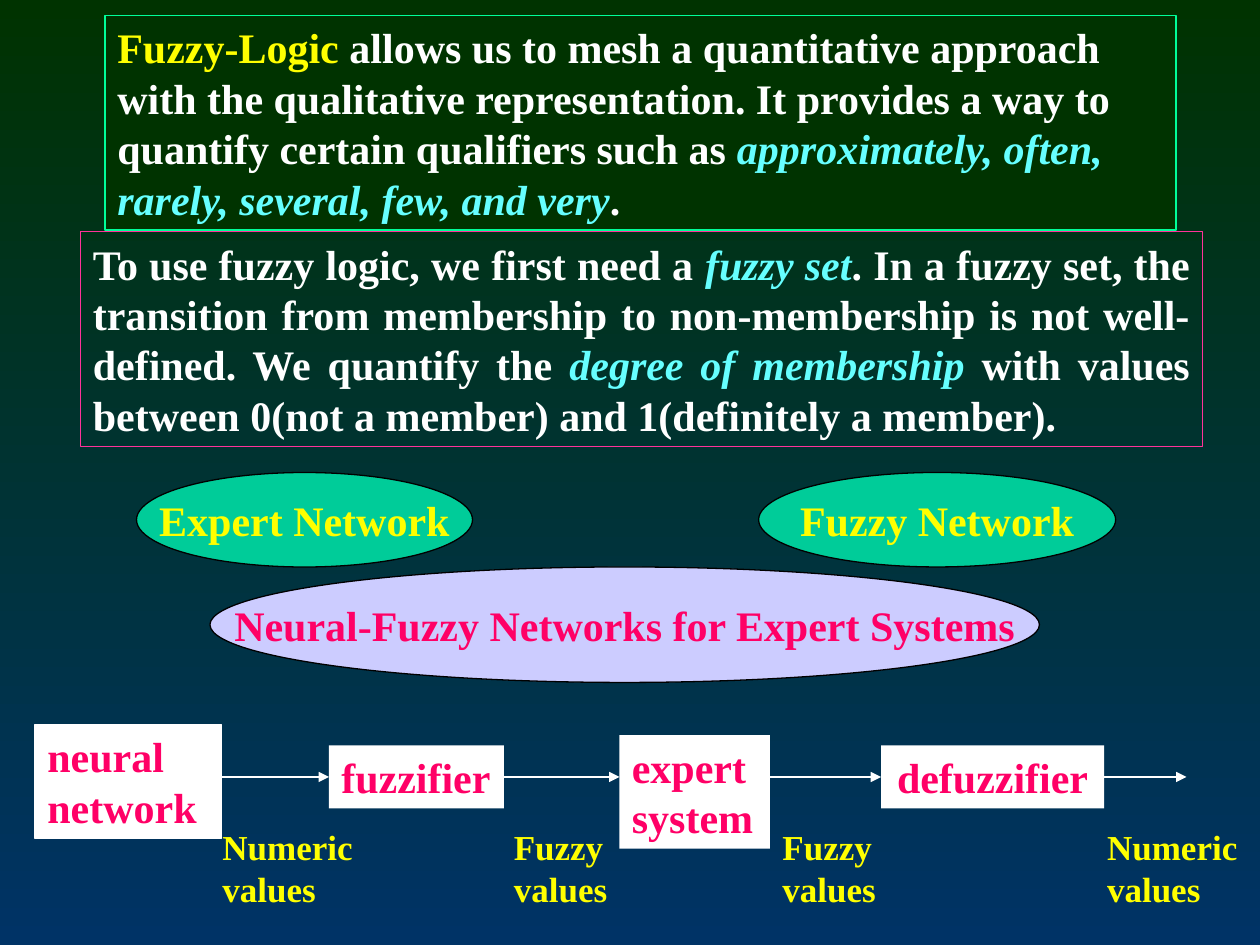
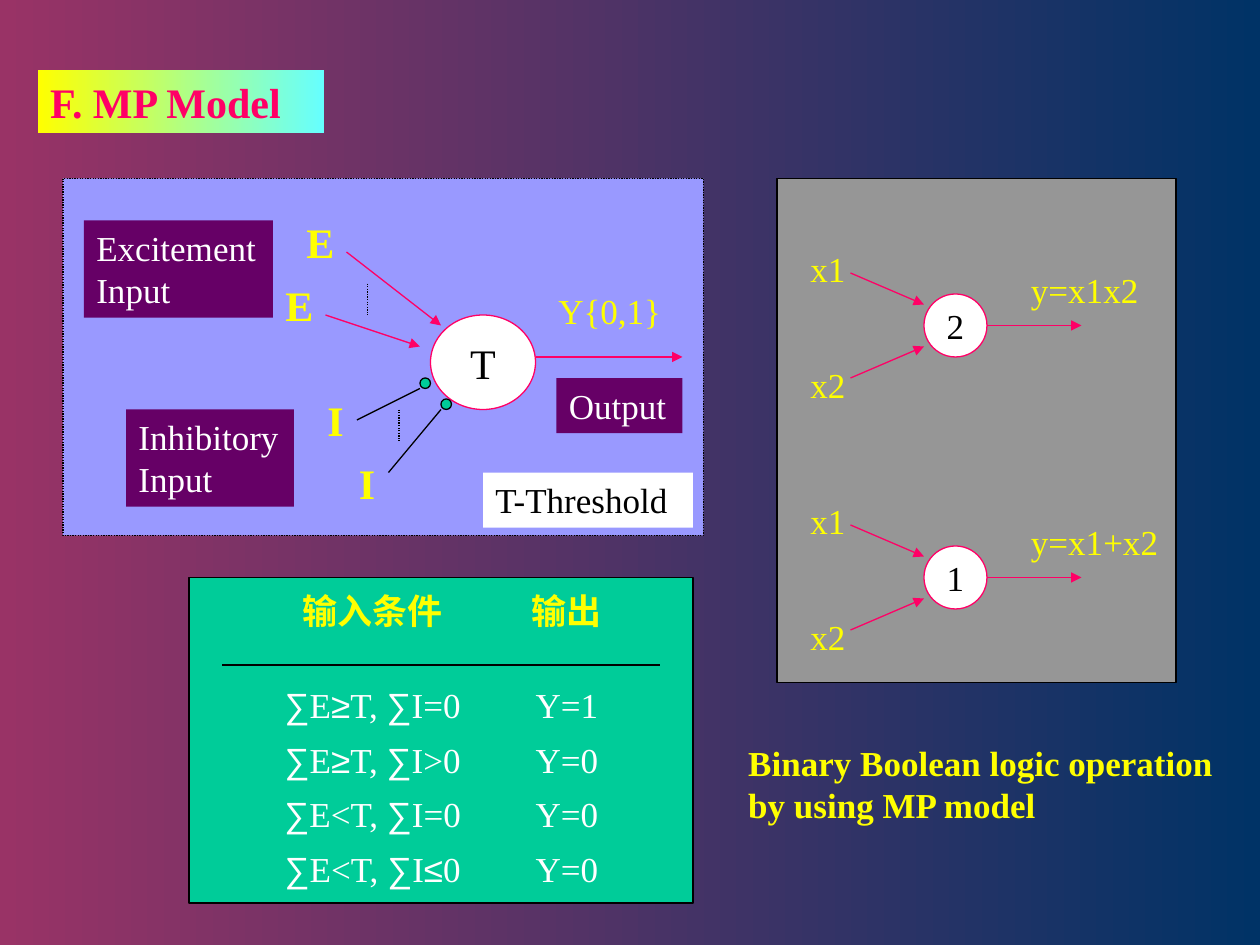
import itertools
from dataclasses import dataclass
from typing import NamedTuple, Optional

import lxml.etree
import pptx
import pptx.dml.color
import pptx.enum.dml
import pptx.enum.shapes
import pptx.enum.text
import pptx.oxml.ns
import pptx.util

Pt = pptx.util.Pt
Align = pptx.enum.text.PP_ALIGN
Anchor = pptx.enum.text.MSO_ANCHOR
RECTANGLE = pptx.enum.shapes.MSO_SHAPE.RECTANGLE
OVAL = pptx.enum.shapes.MSO_SHAPE.OVAL
DOTTED = pptx.enum.dml.MSO_LINE.ROUND_DOT
LEFT_SIDE, RIGHT_SIDE = 1, 3


@dataclass(frozen=True)
class Theme:
    font: str = "Times New Roman"
    symbol_font: str = "Arial"
    large: float = 24
    small: float = 20
    line: float = 0.75
    white: str = "FFFFFF"
    black: str = "000000"
    yellow: str = "FFFF00"
    cyan: str = "66FFFF"
    crimson: str = "FF0066"
    pink: str = "FF3399"
    mint: str = "00FF99"
    green: str = "00CC99"
    lavender: str = "CCCCFF"
    periwinkle: str = "9999FF"
    purple: str = "660066"
    gray: str = "969696"
    forest: str = "003300"
    navy: str = "003366"
    plum: str = "993366"


THEME = Theme()


class Box(NamedTuple):
    left: float
    top: float
    width: float
    height: float


class Run(NamedTuple):
    text: str
    color: str
    bold: bool = False
    italic: bool = False
    font: str = THEME.font


@dataclass(frozen=True)
class Block:
    """A rectangle, an oval or, without a kind, a plain text box."""
    box: Box
    runs: tuple[Run, ...] = ()
    kind: Optional[int] = None
    fill: Optional[str] = None
    line: Optional[str] = None
    dash: Optional[int] = None
    size: float = THEME.small
    align: int = Align.LEFT


class Arrow(NamedTuple):
    start: tuple[float, float]
    end: tuple[float, float]
    color: str = THEME.crimson
    head: bool = True
    dash: Optional[int] = None


# ---- Shared drawing functions ----

def rgb(color: str) -> pptx.dml.color.RGBColor:
    return pptx.dml.color.RGBColor.from_string(color)


def set_gradient(fill, first: str, last: str, angle: float) -> None:
    fill.gradient()
    fill.gradient_angle = angle
    for stop, color in zip(fill.gradient_stops, (first, last)):
        stop.color.rgb = rgb(color)


def add_runs(paragraph, runs: tuple[Run, ...], size: float, align: int) -> None:
    paragraph.alignment = align
    for item in runs:
        run = paragraph.add_run()
        run.text = item.text
        run.font.name = item.font
        run.font.size = Pt(size)
        run.font.bold = item.bold
        run.font.italic = item.italic
        run.font.color.rgb = rgb(item.color)


def set_frame(frame, anchor: int, wrap: bool) -> None:
    frame.auto_size = pptx.enum.text.MSO_AUTO_SIZE.NONE
    frame.word_wrap = wrap
    frame.vertical_anchor = anchor
    frame.margin_left = frame.margin_right = Pt(7.2)
    frame.margin_top = frame.margin_bottom = Pt(3.6)


def draw_block(slide, block: Block):
    area = [Pt(length) for length in block.box]
    if block.kind is None:
        shape = slide.shapes.add_textbox(*area)
    else:
        shape = slide.shapes.add_shape(block.kind, *area)
        shape.shadow.inherit = False
    if block.fill:
        shape.fill.solid()
        shape.fill.fore_color.rgb = rgb(block.fill)
    else:
        shape.fill.background()
    if block.line:
        shape.line.color.rgb = rgb(block.line)
        shape.line.width = Pt(THEME.line)
        if block.dash:
            shape.line.dash_style = block.dash
    else:
        shape.line.fill.background()
    if block.runs:
        is_oval = block.kind == OVAL
        set_frame(shape.text_frame, Anchor.MIDDLE if is_oval else Anchor.TOP, not is_oval)
        add_runs(shape.text_frame.paragraphs[0], block.runs, block.size, block.align)
    return shape


def draw_arrow(slide, arrow: Arrow):
    connector = slide.shapes.add_connector(
        pptx.enum.shapes.MSO_CONNECTOR.STRAIGHT,
        *(Pt(length) for length in arrow.start + arrow.end))
    connector.line.color.rgb = rgb(arrow.color)
    connector.line.width = Pt(THEME.line)
    if arrow.dash:
        connector.line.dash_style = arrow.dash
    if arrow.head:
        line = connector.line._get_or_add_ln()
        lxml.etree.SubElement(line, pptx.oxml.ns.qn("a:tailEnd"), type="triangle")
    properties = connector._element.spPr
    lxml.etree.SubElement(properties, pptx.oxml.ns.qn("a:effectLst"))
    return connector


def oval(box: Box, text: str, fill: str, line: str, color: str,
         size: float = THEME.large, bold: bool = False) -> Block:
    return Block(box, (Run(text, color, bold),), OVAL, fill, line, size=size, align=Align.CENTER)


def label(box: Box, text: str, color: str = THEME.yellow, bold: bool = False,
          fill: Optional[str] = None, size: float = THEME.small) -> Block:
    return Block(box, (Run(text, color, bold),), RECTANGLE if fill else None, fill, size=size)


# ---- Slide 1: fuzzy logic ----

def build_fuzzy_logic(presentation) -> None:
    slide = presentation.slides.add_slide(presentation.slide_layouts[6])
    set_gradient(slide.background.fill, THEME.forest, THEME.navy, 270)

    def plain(text: str) -> Run:
        return Run(text, THEME.white, True)

    def term(text: str) -> Run:
        return Run(text, THEME.cyan, True, True)

    # Definitions and network ovals
    definition = (
        Run("Fuzzy-Logic ", THEME.yellow, True),
        plain("allows us to mesh a quantitative approach with the qualitative representation. "
              "It provides a way to quantify certain qualifiers such as "),
        term("approximately, often, rarely, several, few, and very"), plain("."))
    fuzzy_set = (
        plain("To use fuzzy logic, we first need a "), term("fuzzy set"),
        plain(". In a fuzzy set, the transition from membership to non-membership is not "
              "well-defined. We quantify the "),
        term("degree of membership"),
        plain(" with values between 0(not a member) and 1(definitely a member)."))
    blocks = (
        Block(Box(60, 9, 612, 122.5), definition, RECTANGLE, THEME.forest, THEME.mint,
              size=THEME.large),
        Block(Box(46, 132.5, 641, 122.5), fuzzy_set, RECTANGLE, None, THEME.pink,
              size=THEME.large, align=Align.JUSTIFY),
        oval(Box(78, 270, 192, 54), "Expert Network",
             THEME.green, THEME.black, THEME.yellow, bold=True),
        oval(Box(433.5, 270, 204, 54), "Fuzzy Network",
             THEME.green, THEME.black, THEME.yellow, bold=True),
        oval(Box(120, 324, 474, 66), "Neural-Fuzzy Networks for Expert Systems",
             THEME.lavender, THEME.black, THEME.crimson, bold=True))
    for block in blocks:
        draw_block(slide, block)

    # Processing chain
    stages = (("neural network", Box(20, 414, 106.5, 65), Align.LEFT),
              ("fuzzifier", Box(188, 426, 100, 36), Align.LEFT),
              ("expert system", Box(354, 420, 86, 65), Align.LEFT),
              ("defuzzifier", Box(503.5, 426, 127.5, 36), Align.CENTER))
    shapes = [draw_block(slide, Block(box, (Run(text, THEME.crimson, True),), RECTANGLE,
                                      THEME.white, size=THEME.large, align=align))
              for text, box, align in stages]
    shapes[0].line.color.rgb = rgb(THEME.white)
    fuzzifier, defuzzifier = shapes[1], shapes[3]
    spans = ((126, 188), (288, 354), (440, 503.5), (631, 678))
    into_fuzzifier, from_fuzzifier, into_defuzzifier, from_defuzzifier = (
        draw_arrow(slide, Arrow((start, 444), (end, 444), THEME.white)) for start, end in spans)
    into_fuzzifier.end_connect(fuzzifier, LEFT_SIDE)
    from_fuzzifier.begin_connect(fuzzifier, RIGHT_SIDE)
    into_defuzzifier.end_connect(defuzzifier, LEFT_SIDE)
    from_defuzzifier.begin_connect(defuzzifier, RIGHT_SIDE)

    # Values passed along the chain
    values = (("Numeric values", 120, 90), ("Fuzzy values", 286.5, 73.5),
              ("Fuzzy values", 440, 73.5), ("Numeric values", 625.5, 90))
    for text, left, width in values:
        draw_block(slide, label(Box(left, 468, width, 55.5), text, bold=True))


# ---- Slide 2: MP model ----

def draw_title(slide, text: str, box: Box) -> None:
    title = slide.shapes.title
    title.left, title.top, title.width, title.height = (Pt(length) for length in box)
    set_gradient(title.fill, THEME.yellow, THEME.cyan, 0)
    set_frame(title.text_frame, Anchor.TOP, True)
    add_runs(title.text_frame.paragraphs[0], (Run(text, THEME.crimson, True),),
             THEME.large, Align.LEFT)


def draw_neuron(slide) -> None:
    draw_block(slide, Block(Box(36, 102, 366, 204), kind=RECTANGLE, fill=THEME.periwinkle,
                            line=THEME.black, dash=DOTTED))
    draw_block(slide, oval(Box(246, 180, 60, 54), "T", THEME.white, THEME.crimson, THEME.black))
    for left, top in ((240, 216), (252, 228)):
        draw_block(slide, Block(Box(left, top, 6, 6), kind=OVAL, fill=THEME.green,
                                line=THEME.black))
    arrows = (Arrow((198, 144), (252, 186)), Arrow((186, 180), (240, 198)),
              Arrow((306, 204), (390, 204)),
              Arrow((240, 222), (204, 240), THEME.black, False),
              Arrow((252, 234), (222, 270), THEME.black, False),
              Arrow((210, 162), (210, 180), THEME.black, False, DOTTED),
              Arrow((228, 234), (228, 252), THEME.black, False, DOTTED))
    for arrow in arrows:
        draw_arrow(slide, arrow)
    for text, left, top in (("E", 168, 120), ("E", 156, 156), ("I", 180, 222), ("I", 198, 258)):
        draw_block(slide, label(Box(left, top, 30, 36), text, bold=True, size=THEME.large))
    for text, box in (("Inhibitory Input", Box(72, 234, 96, 55.5)),
                      ("Excitement Input", Box(48, 126, 108, 55.5)),
                      ("Output", Box(318, 216, 72, 31.5))):
        draw_block(slide, label(box, text, THEME.white, fill=THEME.purple))
    draw_block(slide, label(Box(312, 162, 78, 31.5), "Y{0,1}"))
    draw_block(slide, label(Box(276, 270, 120, 31.5), "T-Threshold", THEME.black,
                            fill=THEME.white))


def set_borders(cell, ruled_side: str) -> None:
    properties = cell._tc.get_or_add_tcPr()
    for index, side in enumerate(("lnL", "lnR", "lnT", "lnB")):
        border = lxml.etree.Element(pptx.oxml.ns.qn(f"a:{side}"), w=str(Pt(1)))
        if side == ruled_side:
            fill = lxml.etree.SubElement(border, pptx.oxml.ns.qn("a:solidFill"))
            lxml.etree.SubElement(fill, pptx.oxml.ns.qn("a:srgbClr"), val=THEME.black)
        else:
            lxml.etree.SubElement(border, pptx.oxml.ns.qn("a:noFill"))
        properties.insert(index, border)


def draw_truth_table(slide) -> None:
    draw_block(slide, Block(Box(108, 330, 288, 186), kind=RECTANGLE, fill=THEME.green,
                            line=THEME.black))
    rows = (("输入条件", "输出"), ("∑E≥T, ∑I=0", "Y=1"), ("∑E≥T, ∑I>0", "Y=0"),
            ("∑E<T, ∑I=0", "Y=0"), ("∑E<T, ∑I≤0", "Y=0"))
    widths, heights = (172, 78), (50, 39, 31.2, 31.2, 31.2)
    table = slide.shapes.add_table(len(rows), len(widths), Pt(127), Pt(330),
                                   Pt(sum(widths)), Pt(sum(heights))).table
    table.first_row = table.horz_banding = False
    for column, width in zip(table.columns, widths):
        column.width = Pt(width)
    for row, height in zip(table.rows, heights):
        row.height = Pt(height)
    for (row, texts) in enumerate(rows):
        for column, text in enumerate(texts):
            cell = table.cell(row, column)
            cell.fill.solid()
            cell.fill.fore_color.rgb = rgb(THEME.green)
            set_borders(cell, {0: "lnB", 1: "lnT"}.get(row, ""))
            cell.vertical_anchor = Anchor.BOTTOM if row else Anchor.TOP
            cell.margin_left, cell.margin_right = 0, Pt(28 * column)
            cell.margin_top, cell.margin_bottom = Pt(0 if row else 3.6), Pt(4)
            runs = tuple(
                Run("".join(part), THEME.white if row else THEME.yellow, not row,
                    font=THEME.symbol_font if symbol else THEME.font)
                for symbol, part in itertools.groupby(text, lambda letter: letter in "∑≥≤"))
            add_runs(cell.text_frame.paragraphs[0], runs, THEME.small, Align.CENTER)


def draw_gate(slide, top: float, threshold: str, formula: str) -> None:
    draw_block(slide, oval(Box(528, top + 30, 36, 36), threshold, THEME.white,
                           THEME.crimson, THEME.black, THEME.small))
    for arrow in (Arrow((486, top + 18), (528, top + 36)),
                  Arrow((486, top + 78), (528, top + 60)),
                  Arrow((564, top + 48), (618, top + 48))):
        draw_arrow(slide, arrow)
    for text, left, offset, width in (("x1", 456, 0, 42), ("x2", 456, 66, 42),
                                      (formula, 582, 12, 90)):
        draw_block(slide, label(Box(left, top + offset, width, 31.5), text))


def build_mp_model(presentation) -> None:
    slide = presentation.slides.add_slide(presentation.slide_layouts[5])
    set_gradient(slide.background.fill, THEME.plum, THEME.navy, 0)
    draw_title(slide, "F. MP Model", Box(21.5, 40, 163.5, 36))
    draw_neuron(slide)
    draw_truth_table(slide)

    # Boolean gates
    draw_block(slide, label(Box(420.5, 420, 280, 55.5),
                            "Binary Boolean logic operation by using MP model", bold=True))
    draw_block(slide, Block(Box(444, 102, 228, 288), kind=RECTANGLE, fill=THEME.gray,
                            line=THEME.black))
    draw_gate(slide, 138, "2", "y=x1x2")
    draw_gate(slide, 282, "1", "y=x1+x2")


def main() -> None:
    presentation = pptx.Presentation()
    presentation.slide_width, presentation.slide_height = Pt(720), Pt(540)
    build_fuzzy_logic(presentation)
    build_mp_model(presentation)
    presentation.save("out.pptx")


if __name__ == "__main__":
    main()
